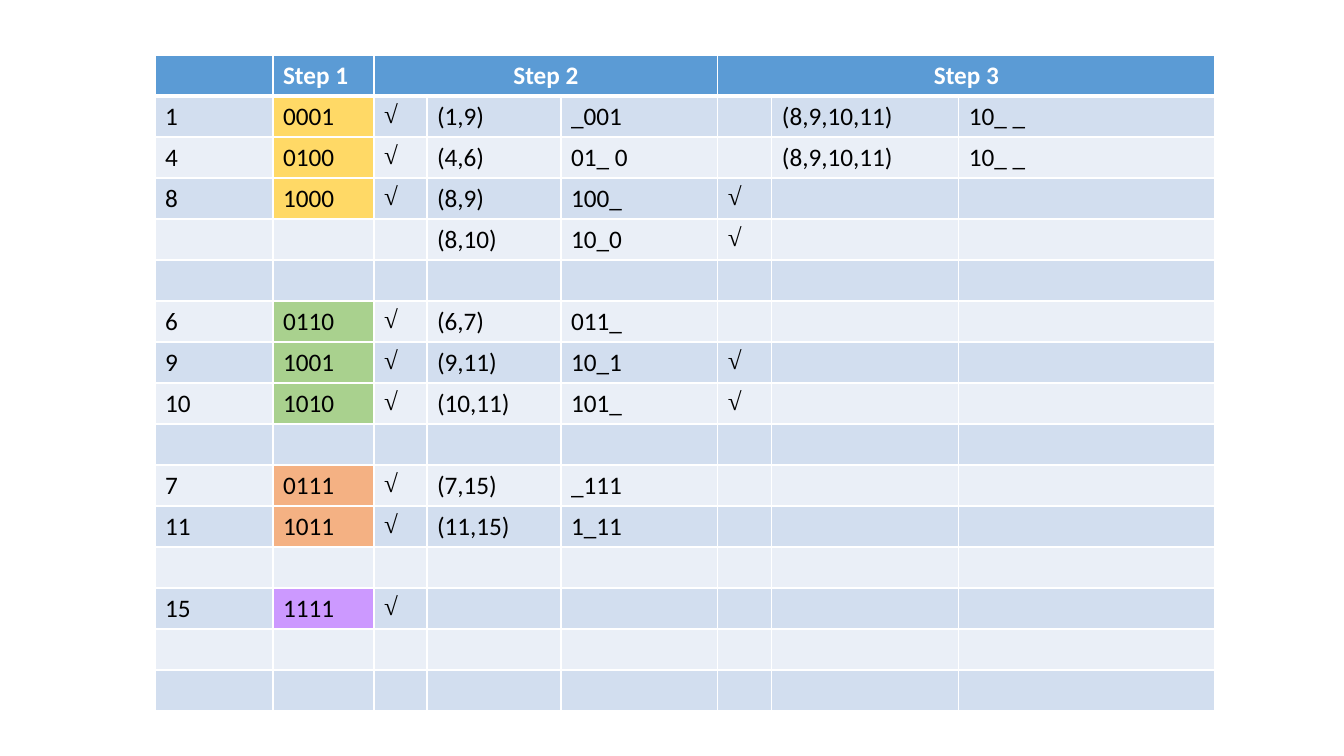
from lxml import etree
from pptx import Presentation
from pptx import util as u
from pptx.dml.color import RGBColor
from pptx.enum import text
from pptx.oxml.ns import qn

THEME = {
    "header": "5B9BD5", "bands": ("D2DEEF", "EAEFF7"), "border": "FFFFFF",
    "header_ink": "FFFFFF", "ink": "000000",
    "one_bit": "FFD966", "two_bits": "A9D18E", "three_bits": "F4B183", "four_bits": "CC99FF",
    "font": "Calibri", "tick_font": "Times New Roman", "size": 18,
    "thin": 1, "thick": 3,
}
GROUP_BY_ONES = {1: "one_bit", 2: "two_bits", 3: "three_bits", 4: "four_bits"}
TICK = "√"
COLUMN_WIDTHS = [118, 101, 53, 134, 157, 54, 187, 256]
ROW_HEIGHT = 41
BLANK = [""] * 8
STEPS = [
    ["", "Step 1", "Step 2", "", "", "Step 3", "", ""],
    ["1", "0001", TICK, "(1,9)", "_001", "", "(8,9,10,11)", "10_ _"],
    ["4", "0100", TICK, "(4,6)", "01_ 0", "", "(8,9,10,11)", "10_ _"],
    ["8", "1000", TICK, "(8,9)", "100_", TICK, "", ""],
    ["", "", "", "(8,10)", "10_0", TICK, "", ""],
    BLANK,
    ["6", "0110", TICK, "(6,7)", "011_", "", "", ""],
    ["9", "1001", TICK, "(9,11)", "10_1", TICK, "", ""],
    ["10", "1010", TICK, "(10,11)", "101_", TICK, "", ""],
    BLANK,
    ["7", "0111", TICK, "(7,15)", "_111", "", "", ""],
    ["11", "1011", TICK, "(11,15)", "1_11", "", "", ""],
    BLANK,
    ["15", "1111", TICK, "", "", "", "", ""],
    BLANK,
    BLANK,
]


def px(length):
    return u.Emu(length * 9071)


def add_border(cell, side, points):
    line = etree.SubElement(cell._tc.get_or_add_tcPr(), qn(f"a:ln{side}"), w=str(u.Pt(points)))
    fill = etree.SubElement(line, qn("a:solidFill"))
    etree.SubElement(fill, qn("a:srgbClr"), val=THEME["border"])


deck = Presentation()
deck.slide_width, deck.slide_height = px(1344), px(756)
slide = deck.slides.add_slide(deck.slide_layouts[6])
minterms = slide.shapes.add_table(
    len(STEPS), len(COLUMN_WIDTHS), px(155), px(55),
    px(sum(COLUMN_WIDTHS)), px(ROW_HEIGHT * len(STEPS))).table

for column, width in zip(minterms.columns, COLUMN_WIDTHS):
    column.width = px(width)
for row in minterms.rows:
    row.height = px(ROW_HEIGHT)
for first in (2, 5):
    minterms.cell(0, first).merge(minterms.cell(0, first + 2))

for r, entries in enumerate(STEPS):
    is_header = r == 0
    for c, entry in enumerate(entries):
        cell = minterms.cell(r, c)
        for side in "LRTB":
            under_header = (r, side) in ((0, "B"), (1, "T"))
            add_border(cell, side, THEME["thick" if under_header else "thin"])
        if is_header:
            color = THEME["header"]
        elif c == 1 and entry:
            color = THEME[GROUP_BY_ONES[entry.count("1")]]
        else:
            color = THEME["bands"][(r - 1) % 2]
        cell.fill.solid()
        cell.fill.fore_color.rgb = RGBColor.from_string(color)
        if not entry:
            continue
        paragraph = cell.text_frame.paragraphs[0]
        if is_header and c > 1:
            paragraph.alignment = text.PP_ALIGN.CENTER
        run = paragraph.add_run()
        run.text = entry
        style = {
            "name": THEME["tick_font" if entry == TICK else "font"],
            "size": u.Pt(THEME["size"]),
            "bold": is_header,
        }
        for attribute, setting in style.items():
            setattr(run.font, attribute, setting)
        run.font.color.rgb = RGBColor.from_string(THEME["header_ink" if is_header else "ink"])

deck.save("out.pptx")
